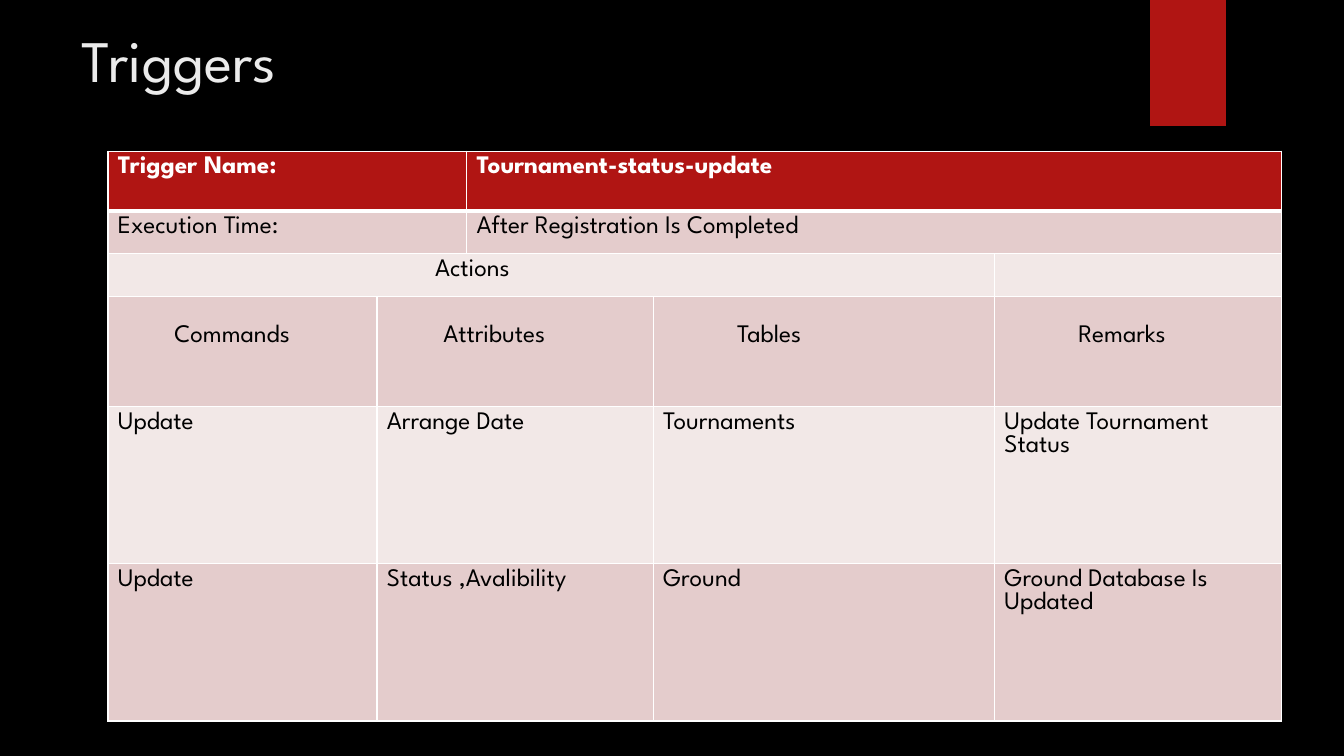
"""Build the slide that lists the tournament database trigger in a table."""
from dataclasses import dataclass

from lxml.etree import SubElement
from pptx import Presentation
from pptx.dml.color import RGBColor
from pptx.enum.shapes import MSO_SHAPE
from pptx.oxml import parse_xml
from pptx.oxml.ns import nsdecls, qn
from pptx.shapes.autoshape import Shape
from pptx.slide import Slide
from pptx.table import Table, _Cell
from pptx.text.text import TextFrame
from pptx.util import Emu, Inches, Pt

WIDTH, HEIGHT = Inches(13.333), Inches(7.5)
FONT = "League Spartan"
BLACK = RGBColor(0x00, 0x00, 0x00)
WHITE = RGBColor(0xFF, 0xFF, 0xFF)
RED = RGBColor(0xB0, 0x15, 0x13)
ROSE = RGBColor(0xE4, 0xCC, 0xCC)
BLUSH = RGBColor(0xF2, 0xE8, 0xE7)
TITLE_GREY = RGBColor(0xEB, 0xEB, 0xEB)
GLOW = RGBColor(0x50, 0xB9, 0xC1)

COLUMN_SHARES = (20.02, 6.68, 13.87, 20.25, 21.38)
ROW_SHARES = (7.87, 5.7, 5.7, 14.53, 20.8, 20.8)
ROW_FILLS = (RED, ROSE, BLUSH, ROSE, BLUSH, ROSE)
PAD_X, PAD_Y = 0.75, 0.67
HEADING_DROP = 3.07
THIN, THICK = Pt(1), Pt(3)


@dataclass(frozen=True)
class Area:
    """A rectangle in percent of the slide's width and height."""

    left: float
    top: float
    width: float
    height: float

    def box(self) -> tuple[Emu, Emu, Emu, Emu]:
        """Return the rectangle in slide units."""
        return across(self.left), down(self.top), across(self.width), down(self.height)


@dataclass(frozen=True)
class Entry:
    """A table cell's text, its place in the grid and its extra inset."""

    row: int
    column: int
    span: int
    text: str
    indent: float = 0
    drop: float = 0


ENTRIES = (
    Entry(0, 0, 2, "Trigger Name:"),
    Entry(0, 2, 3, "Tournament-status-update"),
    Entry(1, 0, 2, "Execution Time:"),
    Entry(1, 2, 3, "After Registration Is Completed"),
    Entry(2, 0, 4, "Actions", 23.6),
    Entry(3, 0, 1, "Commands", 4.2, HEADING_DROP),
    Entry(3, 1, 2, "Attributes", 4.2, HEADING_DROP),
    Entry(3, 3, 1, "Tables", 5.5, HEADING_DROP),
    Entry(3, 4, 1, "Remarks", 5.5, HEADING_DROP),
    Entry(4, 0, 1, "Update"),
    Entry(4, 1, 2, "Arrange Date"),
    Entry(4, 3, 1, "Tournaments"),
    Entry(4, 4, 1, "Update Tournament Status"),
    Entry(5, 0, 1, "Update"),
    Entry(5, 1, 2, "Status ,Avalibility"),
    Entry(5, 3, 1, "Ground"),
    Entry(5, 4, 1, "Ground Database Is Updated"),
)


def across(percent: float) -> Emu:
    """Return a share of the slide's width."""
    return Emu(round(WIDTH * percent / 100))


def down(percent: float) -> Emu:
    """Return a share of the slide's height."""
    return Emu(round(HEIGHT * percent / 100))


def write(frame: TextFrame, text: str, size: float, color: RGBColor, bold: bool = False) -> None:
    """Write one run into the first paragraph of a frame."""
    run = frame.paragraphs[0].add_run()
    run.text = text
    run.font.name, run.font.size, run.font.bold = FONT, Pt(size), bold
    run.font.color.rgb = color


def add_plain_shape(slide: Slide, kind: MSO_SHAPE, area: Area, color: RGBColor) -> Shape:
    """Add a flat shape without outline or shadow."""
    shape = slide.shapes.add_shape(kind, *area.box())
    shape.shadow.inherit = False
    shape.fill.solid()
    shape.fill.fore_color.rgb = color
    shape.line.fill.background()
    return shape


def add_glow(slide: Slide, area: Area) -> None:
    """Add the faint circle that fades towards its edge."""
    glow = add_plain_shape(slide, MSO_SHAPE.OVAL, area, GLOW)
    stops = "".join(
        f'<a:gs pos="{place * 1000}"><a:srgbClr val="{GLOW}">'
        f'<a:alpha val="{alpha * 1000}"/></a:srgbClr></a:gs>'
        for place, alpha in ((0, 7), (36, 6), (69, 0), (100, 0))
    )
    gradient = parse_xml(
        f'<a:gradFill {nsdecls("a")}><a:gsLst>{stops}</a:gsLst><a:path path="circle">'
        '<a:fillToRect l="50000" t="50000" r="50000" b="50000"/></a:path></a:gradFill>'
    )
    properties = glow.element.spPr
    properties.replace(properties.find(qn("a:solidFill")), gradient)


def style_cell(cell: _Cell, row: int) -> None:
    """Give a cell its white borders and the fill of its row."""
    properties = cell._tc.get_or_add_tcPr()
    top = THICK if row == 1 else THIN
    bottom = THICK if row == 0 else THIN
    for side, width in (("L", THIN), ("R", THIN), ("T", top), ("B", bottom)):
        border = SubElement(properties, qn(f"a:ln{side}"), w=str(int(width)))
        SubElement(SubElement(border, qn("a:solidFill")), qn("a:srgbClr"), val=str(WHITE))
    cell.fill.solid()
    cell.fill.fore_color.rgb = ROW_FILLS[row]


def fill_entry(table: Table, entry: Entry) -> None:
    """Merge the columns of an entry and write its text."""
    cell = table.cell(entry.row, entry.column)
    if entry.span > 1:
        cell.merge(table.cell(entry.row, entry.column + entry.span - 1))
    cell.margin_left = across(PAD_X + entry.indent)
    cell.margin_top = down(PAD_Y + entry.drop)
    heading = entry.row == 0
    write(cell.text_frame, entry.text, 18, WHITE if heading else BLACK, heading)


def add_trigger_table(slide: Slide) -> None:
    """Add the table that describes the trigger."""
    area = Area(8.03, 20, sum(COLUMN_SHARES), sum(ROW_SHARES))
    table = slide.shapes.add_table(len(ROW_SHARES), len(COLUMN_SHARES), *area.box()).table
    for column, share in zip(table.columns, COLUMN_SHARES):
        column.width = across(share)
    for index, share in enumerate(ROW_SHARES):
        table.rows[index].height = down(share)
        for cell in table.rows[index].cells:
            style_cell(cell, index)
    for entry in ENTRIES:
        fill_entry(table, entry)


def add_title(slide: Slide) -> None:
    """Add the slide's title."""
    frame = slide.shapes.add_textbox(*Area(5.33, 0, 80.93, 20.4).box()).text_frame
    frame.word_wrap = True
    frame.margin_top = down(3.2)
    write(frame, "Triggers", 42, TITLE_GREY)


def main() -> None:
    """Build and save the presentation."""
    presentation = Presentation()
    presentation.slide_width, presentation.slide_height = WIDTH, HEIGHT
    slide = presentation.slides.add_slide(presentation.slide_layouts[6])
    slide.background.fill.solid()
    slide.background.fill.fore_color.rgb = BLACK
    add_glow(slide, Area(70.58, 24.4, 23.1, 41.07))
    add_plain_shape(slide, MSO_SHAPE.RECTANGLE, Area(85.58, 0, 5.63, 16.67), RED)
    add_trigger_table(slide)
    add_title(slide)
    presentation.save("out.pptx")


if __name__ == "__main__":
    main()
